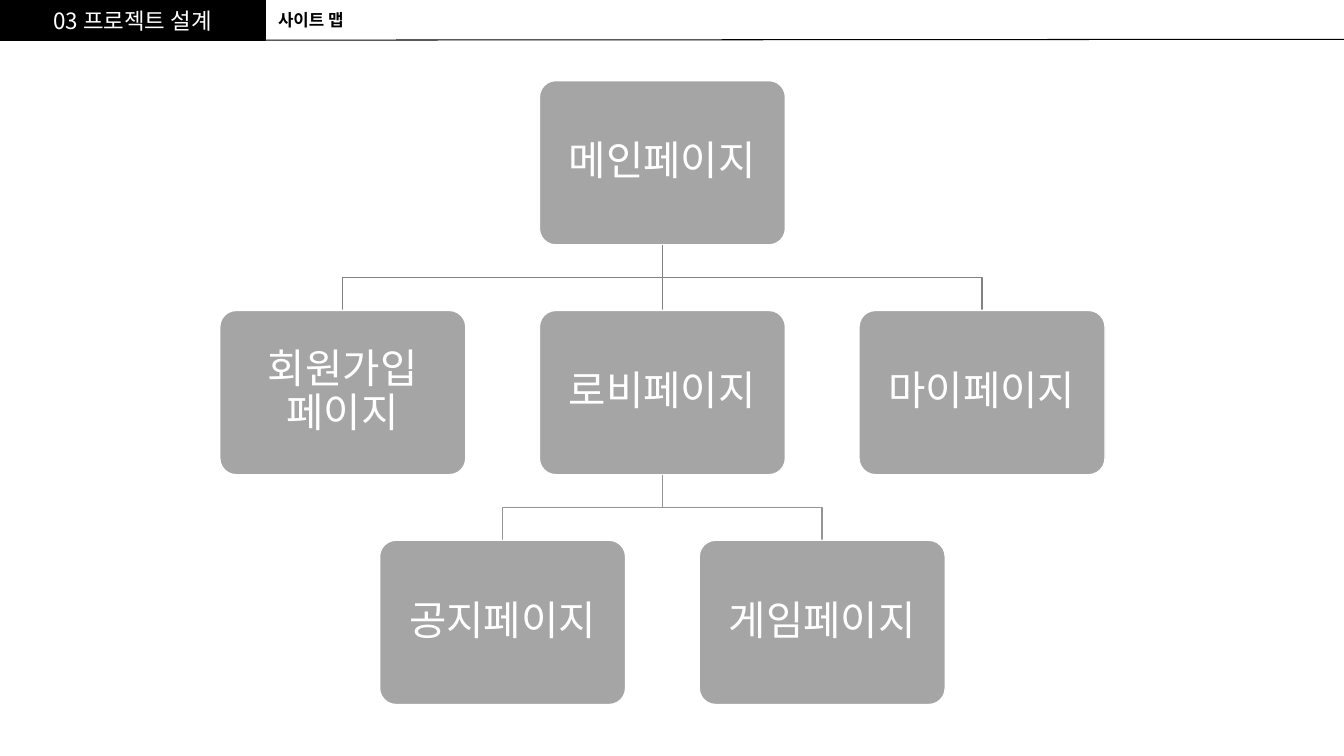
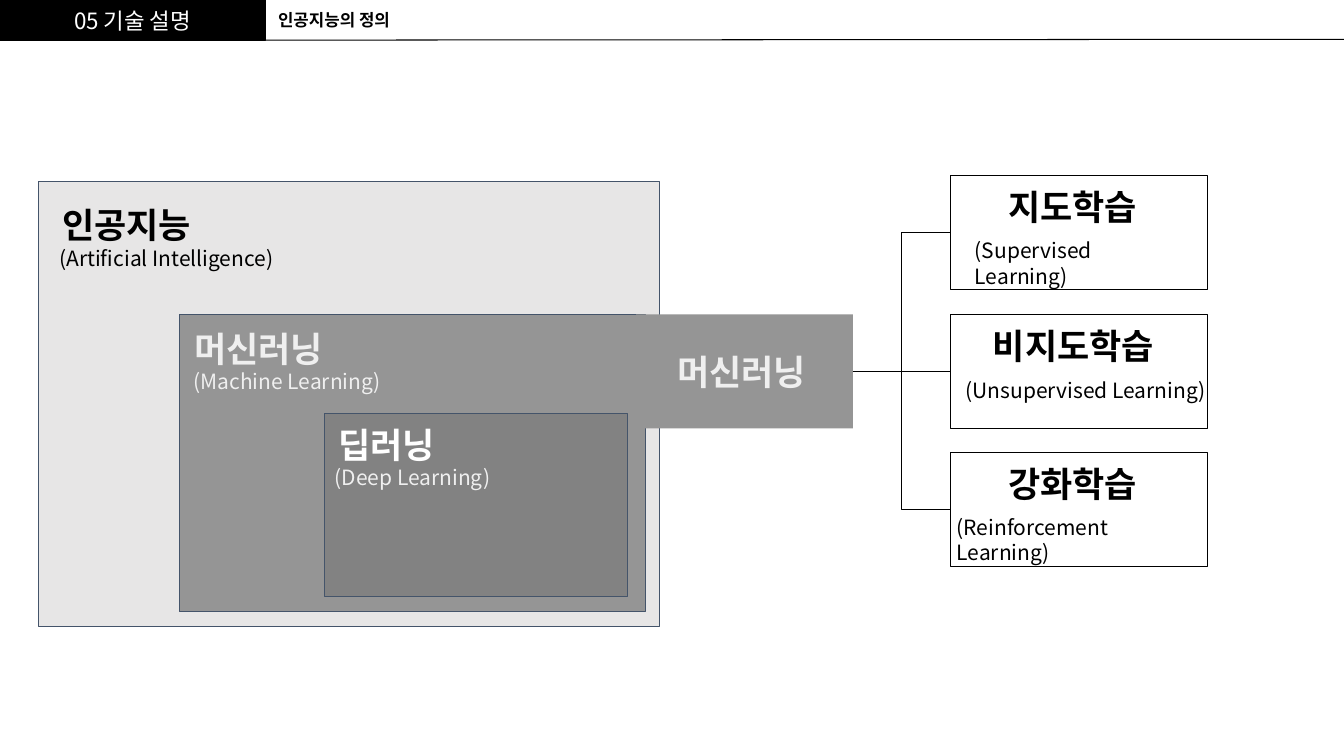
import pptx
import pptx.util
from lxml import etree
from pptx.dml.color import RGBColor
from pptx.enum.shapes import MSO_CONNECTOR, MSO_SHAPE
from pptx.enum.text import MSO_ANCHOR, MSO_AUTO_SIZE, PP_ALIGN
from pptx.oxml.ns import qn
from pptx.util import Inches

FONT = "Noto Sans CJK KR"
BLACK = RGBColor(0x00, 0x00, 0x00)
WHITE = RGBColor(0xFF, 0xFF, 0xFF)
PALE = RGBColor(0xEF, 0xEF, 0xEF)
LIGHT_GRAY = RGBColor(0xE7, 0xE6, 0xE6)
CARD_GRAY = RGBColor(0xA5, 0xA5, 0xA5)
MIDDLE_GRAY = RGBColor(0x95, 0x95, 0x95)
DARK_GRAY = RGBColor(0x82, 0x82, 0x82)
SLATE = RGBColor(0x44, 0x54, 0x6A)

HEADING = {"size": pptx.util.Pt(25), "bold": True}
CAPTION = {"size": pptx.util.Pt(15), "bold": False}


def paint(shape, line_color, width=0.75, fill=None):
    """Set outline and fill, and remove the shadow."""
    if line_color is None:
        shape.line.fill.background()
    else:
        shape.line.color.rgb = line_color
        shape.line.width = pptx.util.Pt(width)
    if fill is not None:
        shape.fill.solid()
        shape.fill.fore_color.rgb = fill
    elif hasattr(shape, "fill"):
        shape.fill.background()
    etree.SubElement(shape._element.spPr, qn("a:effectLst"))


def write(shape, text, color, font_format, frame_format, alignment=PP_ALIGN.LEFT, spacing=None):
    """Put one formatted paragraph into a shape or text box."""
    frame = shape.text_frame
    for name, value in {"word_wrap": True, **frame_format}.items():
        setattr(frame, name, value)
    paragraph = frame.paragraphs[0]
    paragraph.alignment = alignment
    paragraph.line_spacing = spacing
    run = paragraph.add_run()
    run.text = text
    for name, value in {"name": FONT, **font_format}.items():
        setattr(run.font, name, value)
    run.font.color.rgb = color
    east_asian = etree.SubElement(run._r.get_or_add_rPr(), qn("a:ea"))
    east_asian.set("typeface", FONT)


sides = ("margin_left", "margin_top", "margin_right", "margin_bottom")
CARD_FRAME = {"vertical_anchor": MSO_ANCHOR.MIDDLE, **dict.fromkeys(sides, Inches(0.12))}
LABEL_FRAME = {"auto_size": MSO_AUTO_SIZE.SHAPE_TO_FIT_TEXT, **dict.fromkeys(sides, Inches(0.1))}

presentation = pptx.Presentation()
presentation.slide_width = Inches(13.33)
presentation.slide_height = Inches(7.5)

# Header shared by both slides
slides = []
for section, topic in [("03 프로젝트 설계", "사이트 맵"), ("05 기술 설명", "인공지능의 정의")]:
    slide = presentation.slides.add_slide(presentation.slide_layouts[6])
    slides.append(slide)
    band = slide.shapes.add_shape(MSO_SHAPE.RECTANGLE, 0, 0, Inches(2.63), Inches(0.4))
    paint(band, BLACK, 1, BLACK)
    write(band, section, WHITE, {"size": pptx.util.Pt(16)},
          {"vertical_anchor": MSO_ANCHOR.MIDDLE}, PP_ALIGN.CENTER)
    rule = slide.shapes.add_connector(
        MSO_CONNECTOR.STRAIGHT, 0, Inches(0.4), Inches(13.33), Inches(0.39))
    paint(rule, BLACK)
    title = slide.shapes.add_textbox(Inches(2.66), Inches(0.05), Inches(3), Inches(0.3))
    write(title, topic, BLACK, {"size": pptx.util.Pt(12), "bold": True},
          {"auto_size": MSO_AUTO_SIZE.SHAPE_TO_FIT_TEXT})

site_map, definition = slides

# Site map: each page has a row and a column offset from the centre
CENTER, COLUMN_PITCH = Inches(6.57), Inches(3.17)
FIRST_TOP, ROW_PITCH = Inches(0.8), Inches(2.28)
CARD_WIDTH, CARD_HEIGHT = Inches(2.44), Inches(1.63)
BRANCH_COLORS = {1: DARK_GRAY, 2: MIDDLE_GRAY}
pages = [
    ("메인페이지", 0, 0),
    ("회원가입 페이지", 1, -1),
    ("로비페이지", 1, 0),
    ("마이페이지", 1, 1),
    ("공지페이지", 2, -0.5),
    ("게임페이지", 2, 0.5),
]
for name, row, column in pages:
    center = int(CENTER + column * COLUMN_PITCH)
    top = FIRST_TOP + row * ROW_PITCH
    parent_bottom = top - ROW_PITCH + CARD_HEIGHT
    middle = (parent_bottom + top) // 2
    # Branch from the page above
    if row and column:
        builder = site_map.shapes.build_freeform(CENTER, parent_bottom)
        builder.add_line_segments([(CENTER, middle), (center, middle), (center, top)], close=False)
        paint(builder.convert_to_shape(), BRANCH_COLORS[row], 1)
    elif row:
        branch = site_map.shapes.add_connector(
            MSO_CONNECTOR.STRAIGHT, center, parent_bottom, center, top)
        paint(branch, BRANCH_COLORS[row], 1)
    card = site_map.shapes.add_shape(
        MSO_SHAPE.ROUNDED_RECTANGLE, center - CARD_WIDTH // 2, top, CARD_WIDTH, CARD_HEIGHT)
    card.adjustments[0] = 0.1
    paint(card, WHITE, 1, CARD_GRAY)
    write(card, name, WHITE, {"size": pptx.util.Pt(29)}, CARD_FRAME, PP_ALIGN.CENTER, 0.9)

# Definition: nested fields, the machine learning tab and the learning types
TYPE_LEFT, TYPE_TOPS = 9.43, (1.74, 3.12, 4.49)
BOX_HEIGHT = 1.13
boxes = [
    (0.38, 1.8, 6.16, 4.42, LIGHT_GRAY, SLATE),
    (1.78, 3.12, 4.62, 2.95, MIDDLE_GRAY, SLATE),
    (3.22, 4.1, 3, 1.82, DARK_GRAY, SLATE),
    (6.31, 3.12, 2.15, BOX_HEIGHT, MIDDLE_GRAY, None),
]
boxes += [(TYPE_LEFT, top, 2.55, BOX_HEIGHT, None, BLACK) for top in TYPE_TOPS]
for left, top, width, height, fill, outline in boxes:
    box = definition.shapes.add_shape(
        MSO_SHAPE.RECTANGLE, Inches(left), Inches(top), Inches(width), Inches(height))
    paint(box, outline, fill=fill)

# Headings and captions
labels = [
    ("인공지능", 0.52, 1.92, 3.28, HEADING, BLACK),
    ("(Artificial Intelligence)", 0.49, 2.34, 2.42, CAPTION, BLACK),
    ("머신러닝", 1.83, 3.15, 3.28, HEADING, PALE),
    ("(Machine Learning)", 1.82, 3.56, 2.42, CAPTION, PALE),
    ("딥러닝", 3.26, 4.1, 3.28, HEADING, WHITE),
    ("(Deep Learning)", 3.22, 4.51, 2.42, CAPTION, PALE),
    ("머신러닝", 6.62, 3.38, 1.68, HEADING, PALE),
    ("지도학습", 9.9, 1.74, 1.87, HEADING, BLACK),
    ("(Supervised Learning)", 9.57, 2.26, 2.26, CAPTION, BLACK),
    ("비지도학습", 9.75, 3.12, 2.08, HEADING, BLACK),
    ("(Unsupervised Learning)", 9.48, 3.65, 2.63, CAPTION, BLACK),
    ("강화학습", 9.9, 4.49, 1.87, HEADING, BLACK),
    ("(Reinforcement Learning)", 9.39, 5, 2.63, CAPTION, BLACK),
]
for text, left, top, width, font_format, color in labels:
    height = 0.62 if font_format is HEADING else 0.45
    label = definition.shapes.add_textbox(
        Inches(left), Inches(top), Inches(width), Inches(height))
    write(label, text, color, font_format, LABEL_FRAME)

# Links from machine learning to its types
tab_right, tab_middle = 8.46, TYPE_TOPS[1] + BOX_HEIGHT / 2
for top in TYPE_TOPS:
    kind = MSO_CONNECTOR.STRAIGHT if top == TYPE_TOPS[1] else MSO_CONNECTOR.ELBOW
    link = definition.shapes.add_connector(
        kind, Inches(tab_right), Inches(tab_middle),
        Inches(TYPE_LEFT), Inches(top + BOX_HEIGHT / 2))
    paint(link, BLACK)

presentation.save("out.pptx")
